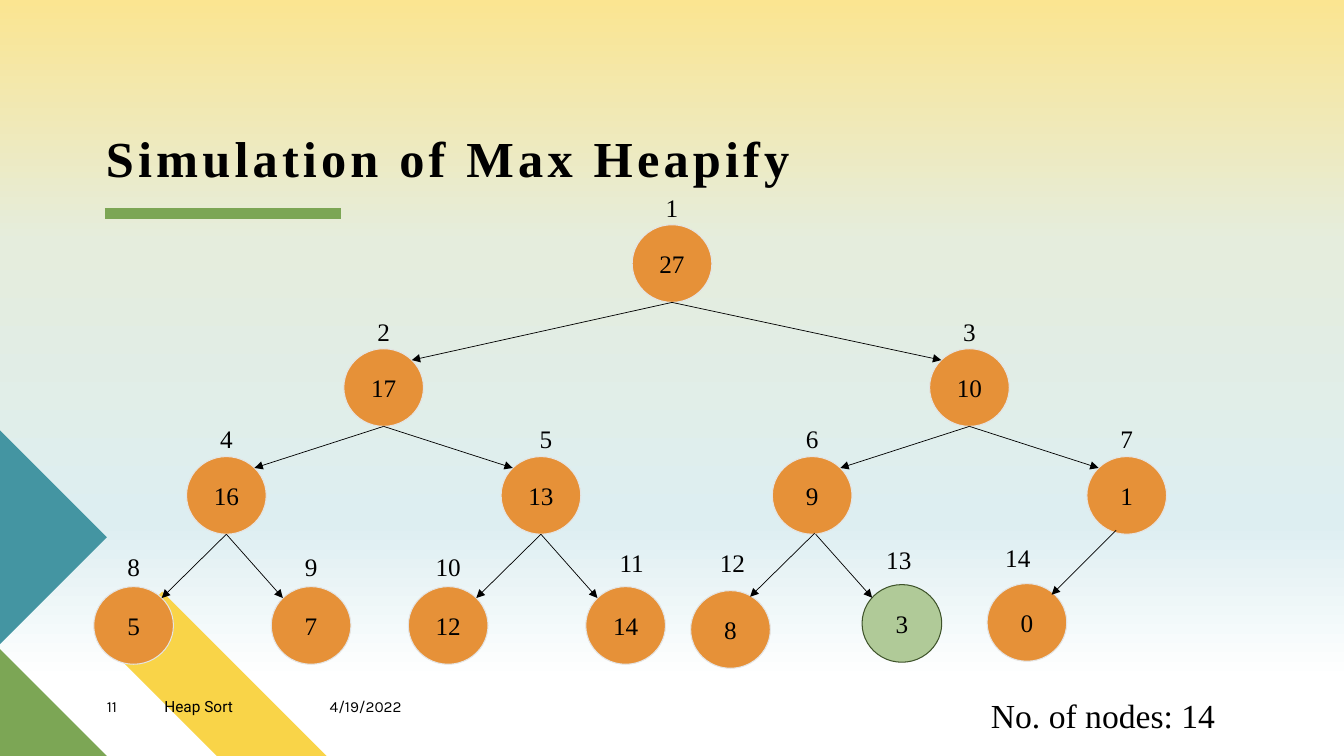
from copy import deepcopy
from math import sqrt

from lxml.etree import SubElement
from pptx import Presentation
from pptx.dml.color import RGBColor
from pptx.enum.shapes import MSO_CONNECTOR as CONNECTOR, MSO_SHAPE as SHAPE
from pptx.enum.text import MSO_ANCHOR as ANCHOR, MSO_AUTO_SIZE as AUTO_SIZE, PP_ALIGN as ALIGN
from pptx.oxml.ns import qn
from pptx.util import Pt

EMU_PER_PX = 9144
SLIDE_WIDTH, SLIDE_HEIGHT = 1333, 750
NODE_WIDTH, NODE_HEIGHT = 79, 77
LABEL_HEIGHT = 36
SERIF = "Times New Roman"

BLACK = RGBColor(0x00, 0x00, 0x00)
ORANGE = RGBColor(0xE6, 0x91, 0x38)
PALE_GREY = RGBColor(0xE4, 0xE4, 0xE4)
LIGHT_GREEN = RGBColor(0xB0, 0xCA, 0x98)
DARK_GREEN = RGBColor(0x3E, 0x53, 0x2A)
GREEN = RGBColor(0x7C, 0xA6, 0x55)
YELLOW = RGBColor(0xF9, 0xD4, 0x48)
TEAL = RGBColor(0x44, 0x95, 0xA2)
BACKGROUND_STOPS = [
    (0, RGBColor(0xFB, 0xE5, 0x91)),
    (0.32, RGBColor(0xE5, 0xED, 0xDD)),
    (0.69, RGBColor(0xDD, 0xEE, 0xF1)),
    (0.9, RGBColor(0xFF, 0xFF, 0xFF)),
]

DECORATIONS = [
    (YELLOW, [(324, 750), (215, 750), (106, 641), (161, 587)]),
    (GREEN, [(106, 750), (0, 750), (0, 644)]),
    (TEAL, [(0, 427), (106, 533), (0, 639)]),
]

# value, left, top, label shift, label top
HEAP = [
    ("27", 627, 223, 0, 188),
    ("17", 341, 346, 0, 311),
    ("10", 922, 346, 0, 311),
    ("16", 185, 453, 0, 417),
    ("13", 497, 453, 5, 417),
    ("9", 766, 453, 0, 417),
    ("1", 1078, 453, 0, 417),
    ("5", 93, 582, 0, 544),
    ("7", 269, 582, 0, 544),
    ("12", 405, 582, 0, 544),
    ("14", 581, 582, 6, 540),
    ("8", 685, 586, 2, 540),
    ("3", 855, 580, -3, 537),
    ("0", 979, 579, -9, 535),
]
HIGHLIGHTED = 12
SHIFTED_EDGES = {
    11: ((808, 529), (744, 592)),
    12: ((809, 530), (865, 593)),
    13: ((1107, 526), (1043, 590)),
}

FOOTER = [("4/19/2022", 327, 144, "Karla"), ("Heap Sort", 163, 164, "Roboto"), ("11", 106, 57, "Karla")]


def px(*lengths):
    return [round(length * EMU_PER_PX) for length in lengths]


def set_background(slide):
    fill = slide.background.fill
    fill.gradient()
    fill.gradient_angle = 270
    stop_list = slide.element.find(".//" + qn("a:gsLst"))
    for _ in range(len(BACKGROUND_STOPS) - len(stop_list)):
        stop_list.append(deepcopy(stop_list[0]))
    for stop, (position, color) in zip(fill.gradient_stops, BACKGROUND_STOPS):
        stop.position = position
        stop.color.rgb = color


def add_decoration(slide, color, points):
    builder = slide.shapes.build_freeform(*points[0], scale=EMU_PER_PX)
    builder.add_line_segments(points[1:], close=True)
    shape = builder.convert_to_shape()
    shape.shadow.inherit = False
    shape.fill.solid()
    shape.fill.fore_color.rgb = color
    shape.line.fill.background()


def write_text(shape, text, size, font=SERIF, align=ALIGN.LEFT, anchor=ANCHOR.TOP, insets=(0, 0)):
    frame = shape.text_frame
    frame.word_wrap = True
    frame.vertical_anchor = anchor
    horizontal, vertical = px(*insets)
    frame.margin_left = frame.margin_right = horizontal
    frame.margin_top = frame.margin_bottom = vertical
    paragraph = frame.paragraphs[0]
    paragraph.alignment = align
    run = paragraph.add_run()
    run.text = text
    run.font.size = Pt(size)
    run.font.name = font
    run.font.color.rgb = BLACK
    return paragraph


def write_centered(shape, text):
    write_text(shape, text, 18, align=ALIGN.CENTER, anchor=ANCHOR.MIDDLE, insets=(13, 13))


def add_line(slide, start, end, color, width, arrow=False):
    connector = slide.shapes.add_connector(CONNECTOR.STRAIGHT, *px(*start, *end))
    connector.line.color.rgb = color
    connector.line.width = Pt(width)
    if arrow:
        SubElement(connector.line._get_or_add_ln(), qn("a:tailEnd"), type="triangle")
    SubElement(connector._element.spPr, qn("a:effectLst"))


def add_title(slide):
    box = slide.shapes.add_textbox(*px(105, 106, 761, 81))
    paragraph = write_text(box, "Simulation of Max Heapify", 36, anchor=ANCHOR.BOTTOM)
    paragraph.line_spacing = 0.9
    font = paragraph.runs[0].font
    font.bold = True
    font._element.set("spc", "300")
    add_line(slide, (104, 212), (338, 212), GREEN, 8)


def add_node(slide, index):
    value, left, top, label_shift, label_top = HEAP[index]
    highlighted = index == HIGHLIGHTED
    node = slide.shapes.add_shape(SHAPE.OVAL, *px(left, top, NODE_WIDTH, NODE_HEIGHT))
    node.shadow.inherit = False
    node.fill.solid()
    node.fill.fore_color.rgb = LIGHT_GREEN if highlighted else ORANGE
    node.line.color.rgb = DARK_GREEN if highlighted else PALE_GREY
    node.line.width = Pt(0.75)
    write_centered(node, value)

    number = str(index + 1)
    label_width = 52 if len(number) == 1 else 64
    label_left = left + (NODE_WIDTH - label_width) / 2 + label_shift
    label = slide.shapes.add_textbox(*px(label_left, label_top, label_width, LABEL_HEIGHT))
    write_centered(label, number)


def edge_points(index):
    _, parent_left, parent_top, *_ = HEAP[(index - 1) // 2]
    _, left, top, *_ = HEAP[index]
    side = 1 if index % 2 else -1
    start = (parent_left + NODE_WIDTH / 2, parent_top + NODE_HEIGHT)
    end = (
        left + NODE_WIDTH / 2 * (1 + side / sqrt(2)),
        top + NODE_HEIGHT / 2 * (1 - 1 / sqrt(2)),
    )
    return start, end


def add_edge(slide, index):
    start, end = SHIFTED_EDGES.get(index) or edge_points(index)
    add_line(slide, start, end, BLACK, 0.5, arrow=True)


def add_node_count(slide):
    box = slide.shapes.add_textbox(*px(973, 684, 287, 50))
    write_text(box, f"No. of nodes: {len(HEAP)}", 24, insets=(10, 5))
    box.text_frame.auto_size = AUTO_SIZE.SHAPE_TO_FIT_TEXT


def add_footer(slide):
    for text, left, width, font in FOOTER:
        box = slide.shapes.add_textbox(*px(left, 692, width, 27))
        write_text(box, text, 11, font)


def main():
    presentation = Presentation()
    presentation.slide_width, presentation.slide_height = px(SLIDE_WIDTH, SLIDE_HEIGHT)
    slide = presentation.slides.add_slide(presentation.slide_layouts[6])
    set_background(slide)
    for color, points in DECORATIONS:
        add_decoration(slide, color, points)
    add_title(slide)
    for index in range(len(HEAP)):
        add_node(slide, index)
    for index in range(1, len(HEAP)):
        add_edge(slide, index)
    add_node_count(slide)
    add_footer(slide)
    presentation.save("out.pptx")


if __name__ == "__main__":
    main()
